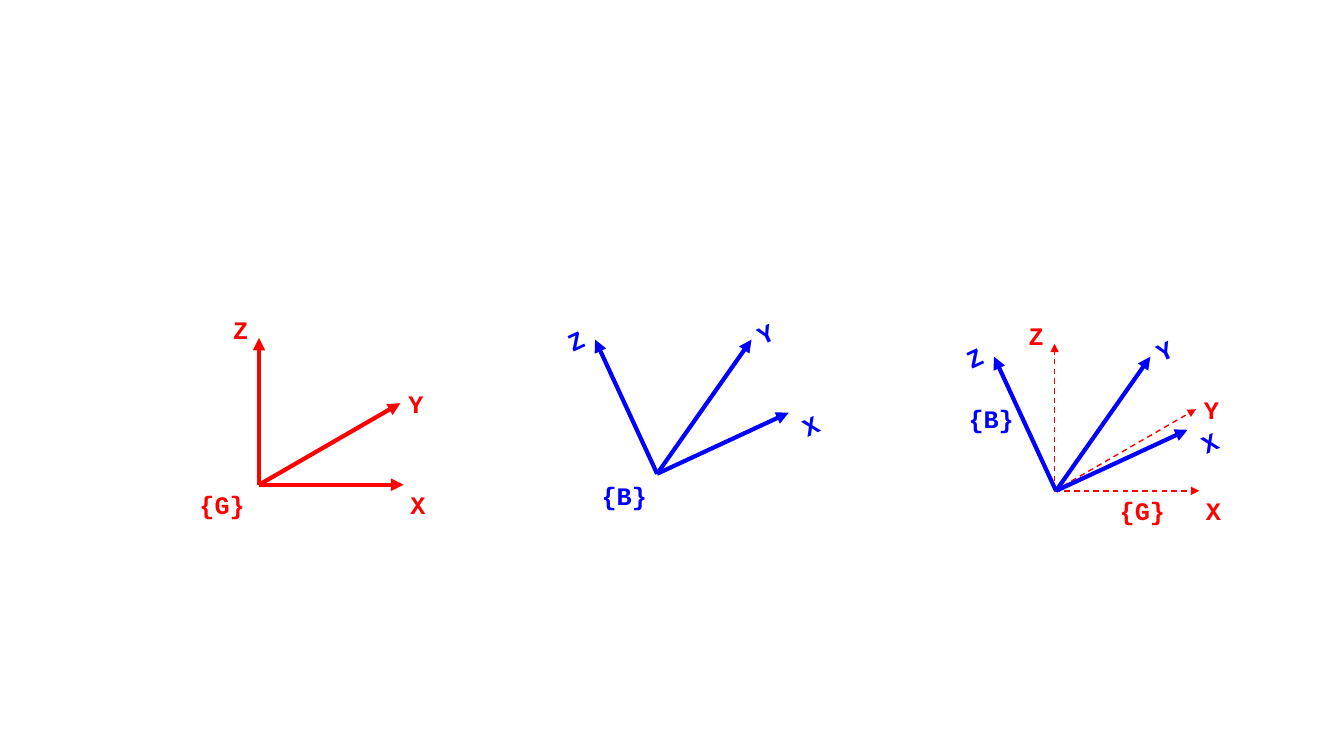
"""Draw frames G and B apart, then both at one shared origin."""
from pptx import Presentation
from pptx.dml.color import RGBColor
from pptx.enum.dml import MSO_LINE
from pptx.enum.shapes import MSO_CONNECTOR
from pptx.enum.text import MSO_AUTO_SIZE
from pptx.oxml.ns import qn
from pptx.util import Pt
from lxml.etree import SubElement

RED = RGBColor(0xFF, 0, 0)
BLUE = RGBColor(0, 0, 0xFF)
FONT = "Courier New"
SIZE = 18
CHAR, INSET, HIGH = 10.8, 7.2, 29

# Each axis: letter, arrow tip and label corner, both measured from the origin
GLOBAL = {
    "name": "{G}", "color": RED, "turn": 0,
    "axes": [
        ("Z", (0, -105), (-25.6, -125.3)),
        ("X", (103.3, 0), (101, 0)),
        ("Y", (101, -58.3), (99.6, -72.7)),
    ],
}
BODY = {
    "name": "{B}", "color": BLUE, "turn": 335.1,
    "axes": [
        ("Z", (-44.3, -95.8), (-70.8, -109.8)),
        ("X", (94, -43.6), (97, -49.3)),
        ("Y", (67.4, -95.8), (64.8, -114.8)),
    ],
}

# Frame, origin, offset of its name, line width, dashed
VIEWS = [
    (BODY, (469.4, 338.4), (-46.8, 1.4), 3, False),
    (GLOBAL, (185, 346.3), (-49.6, 0), 3, False),
    (GLOBAL, (753.3, 350.6), (39.4, 0), 1, True),
    (BODY, (754.3, 350.6), (-69.6, -66.2), 3, False),
]


def shift(start, step):
    return start[0] + step[0], start[1] + step[1]


def add_label(shapes, text, spot, color, turn=0):
    width = CHAR * len(text) + 2 * INSET
    box = shapes.add_textbox(Pt(spot[0]), Pt(spot[1]), Pt(width), Pt(HIGH))
    box.rotation = turn
    frame = box.text_frame
    frame.word_wrap = False
    frame.auto_size = MSO_AUTO_SIZE.SHAPE_TO_FIT_TEXT
    line = frame.paragraphs[0]
    line.text = text
    line.font.name = FONT
    line.font.size = Pt(SIZE)
    line.font.bold = True
    line.font.color.rgb = color


def add_arrow(shapes, start, end, color, width, dashed):
    arrow = shapes.add_connector(
        MSO_CONNECTOR.STRAIGHT, *[Pt(n) for n in (*start, *end)])
    arrow.line.color.rgb = color
    arrow.line.width = Pt(width)
    if dashed:
        arrow.line.dash_style = MSO_LINE.DASH
    props = arrow.element.spPr
    SubElement(props.find(qn("a:ln")), qn("a:tailEnd"), type="triangle")
    SubElement(props, qn("a:effectLst"))


def add_view(slide, frame, origin, offset, width, dashed):
    color = frame["color"]
    group = slide.shapes.add_group_shape()
    for _, tip, _ in frame["axes"]:
        add_arrow(group.shapes, origin, shift(origin, tip),
                  color, width, dashed)
    for letter, _, corner in frame["axes"]:
        add_label(group.shapes, letter, shift(origin, corner),
                  color, frame["turn"])
    add_label(slide.shapes, frame["name"], shift(origin, offset), color)


def main():
    deck = Presentation()
    deck.slide_width, deck.slide_height = Pt(960), Pt(540)
    slide = deck.slides.add_slide(deck.slide_layouts[6])
    for view in VIEWS:
        add_view(slide, *view)
    deck.save("out.pptx")


if __name__ == "__main__":
    main()
